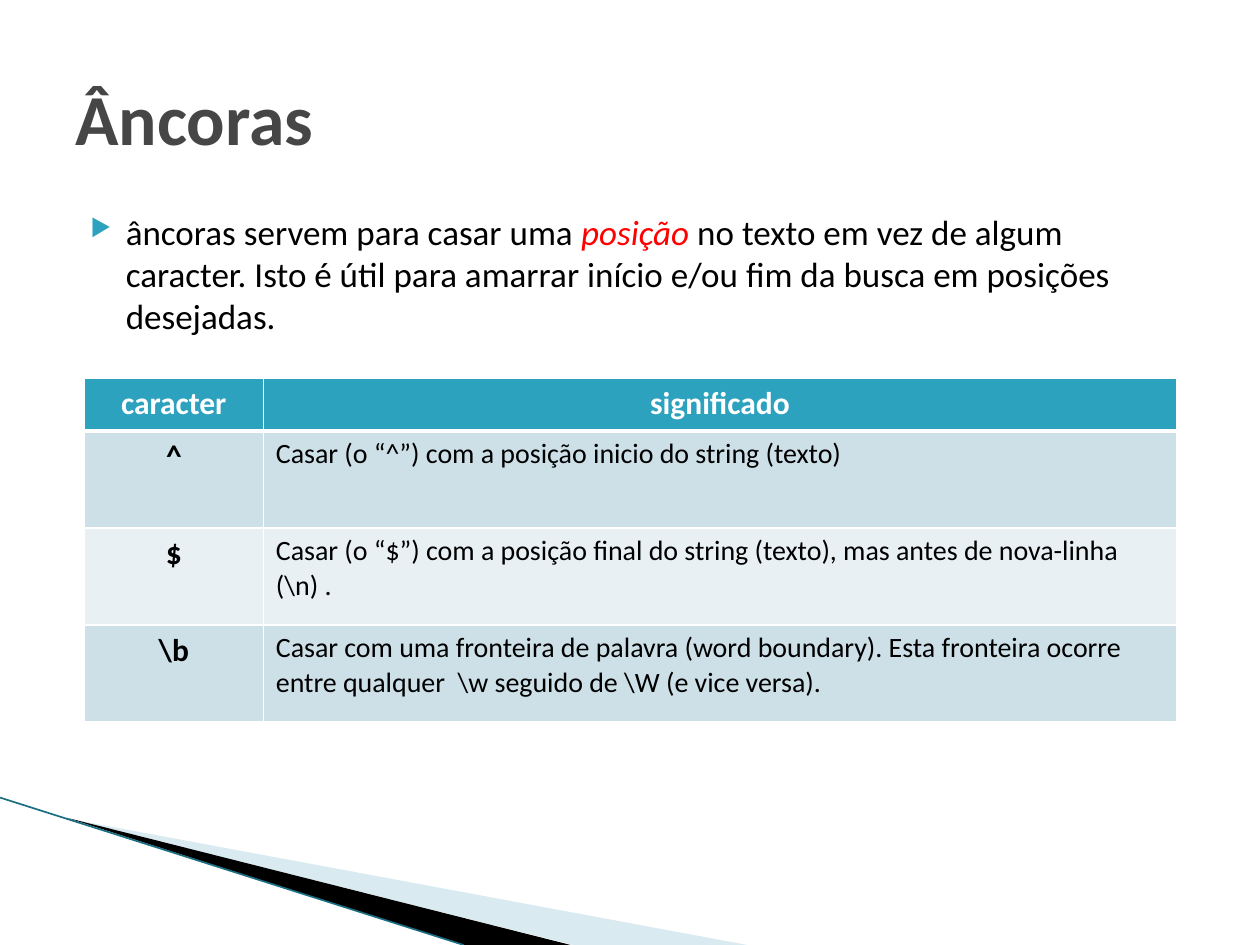
from dataclasses import dataclass

from lxml.etree import SubElement
from pptx import Presentation
from pptx.dml.color import RGBColor
from pptx.enum.text import MSO_ANCHOR, PP_ALIGN
from pptx.oxml import parse_xml
from pptx.oxml.ns import nsdecls, qn
from pptx.util import Inches, Pt


@dataclass(frozen=True)
class Theme:
    """Colours, font and type sizes of the slide."""
    font: str = "Calibri"
    title: str = "464646"
    text: str = "000000"
    accent: str = "2DA2BF"
    highlight: str = "FF0000"
    white: str = "FFFFFF"
    bands: tuple = ("CDE0E8", "E8F0F4")
    pale_wedge: str = "A0CBDC"
    edge: str = "1A6E82"
    title_size: float = 41
    body_size: float = 20
    label_size: float = 18
    cell_size: float = 16


THEME = Theme()

ANCHORS = [
    ("^", "Casar (o “^”) com a posição inicio do string (texto)"),
    ("$", "Casar (o “$”) com a posição final do string (texto), "
          "mas antes de nova-linha (\\n) ."),
    ("\\b", "Casar com uma fronteira de palavra (word boundary). Esta fronteira "
            "ocorre entre qualquer  \\w seguido de \\W (e vice versa)."),
]


def add_run(paragraph, text, size, color, bold=False, italic=False):
    """Append one styled run to a paragraph."""
    run = paragraph.add_run()
    run.text = text
    font = run.font
    font.name, font.size, font.bold, font.italic = THEME.font, Pt(size), bold, italic
    font.color.rgb = RGBColor.from_string(color)


def add_frame(slide, left, top, width, height):
    """Add a wrapping text box and return its text frame."""
    frame = slide.shapes.add_textbox(
        Inches(left), Inches(top), Inches(width), Inches(height)).text_frame
    frame.word_wrap = True
    return frame


def add_wedge(slide, left, top, points, color, opacity=100):
    """Draw a filled outline whose points are relative to left and top."""
    corners = [(Inches(left + x), Inches(top + y)) for x, y in points]
    builder = slide.shapes.build_freeform(*corners[0], scale=1.0)
    builder.add_line_segments(corners[1:], close=True)
    wedge = builder.convert_to_shape()
    wedge.shadow.inherit = False
    wedge.line.fill.background()
    wedge.fill.solid()
    wedge.fill.fore_color.rgb = RGBColor.from_string(color)
    if opacity < 100:
        rgb = wedge.fill._xPr.find(".//" + qn("a:srgbClr"))
        SubElement(rgb, qn("a:alpha")).set("val", str(opacity * 1000))


def add_corner_decor(slide, left, top):
    """Draw the wedges and the edge line of the lower left corner."""
    add_wedge(slide, left + 0.55, top + 0.17,
              [(0, 0), (5.38, 1), (4, 1)], THEME.pale_wedge, 40)
    add_wedge(slide, left + 0.53, top + 0.16,
              [(0, 0), (4, 1.01), (3.15, 1.01)], THEME.text)
    edge = slide.shapes.add_connector(
        1, Inches(left), Inches(top), Inches(left + 3.68), Inches(top + 1.17))
    edge.line.color.rgb = RGBColor.from_string(THEME.edge)
    edge.line.width = Pt(0.95)
    SubElement(edge._element.spPr, qn("a:effectLst"))


def add_title(slide, left, top, width, height):
    """Place the slide title, centred vertically in its box."""
    frame = add_frame(slide, left, top, width, height)
    frame.vertical_anchor = MSO_ANCHOR.MIDDLE
    add_run(frame.paragraphs[0], "Âncoras", THEME.title_size, THEME.title, bold=True)


def add_introduction(slide, left, top, width, height):
    """Place the bulleted explanation."""
    paragraph = add_frame(slide, left, top, width, height).paragraphs[0]
    paragraph.space_before = Pt(4)
    properties = paragraph._p.get_or_add_pPr()
    properties.set("marL", str(Inches(0.4)))
    properties.set("indent", str(Inches(-0.28)))
    color = SubElement(properties, qn("a:buClr"))
    SubElement(color, qn("a:srgbClr")).set("val", THEME.accent)
    SubElement(properties, qn("a:buSzPct")).set("val", "68000")
    SubElement(properties, qn("a:buChar")).set("char", "▶")
    size = THEME.body_size
    add_run(paragraph, "âncoras servem para casar uma ", size, THEME.text)
    add_run(paragraph, "posição", size, THEME.highlight, italic=True)
    add_run(paragraph, " no texto em vez de algum caracter. Isto é útil para amarrar "
            "início e/ou fim da busca em posições desejadas.", size, THEME.text)


def style_cell(cell, fill, top_width, bottom_width):
    """Fill a cell and give it white borders."""
    cell.fill.solid()
    cell.fill.fore_color.rgb = RGBColor.from_string(fill)
    borders = (("lnL", 1), ("lnR", 1), ("lnT", top_width), ("lnB", bottom_width))
    for position, (side, width) in enumerate(borders):
        cell._tc.get_or_add_tcPr().insert(position, parse_xml(
            f'<a:{side} {nsdecls("a")} w="{Pt(width)}"><a:solidFill>'
            f'<a:srgbClr val="{THEME.white}"/></a:solidFill></a:{side}>'))


def add_anchor_table(slide, left, top, width, label_width, header_height, row_height):
    """Place the table of anchors and their meanings."""
    rows = [("caracter", "significado"), *ANCHORS]
    height = header_height + row_height * len(ANCHORS)
    table = slide.shapes.add_table(
        len(rows), 2, Inches(left), Inches(top), Inches(width), Inches(height)).table
    table.columns[0].width = Inches(label_width)
    table.columns[1].width = Inches(width - label_width)
    for r, texts in enumerate(rows):
        header = r == 0
        table.rows[r].height = Inches(header_height if header else row_height)
        fill = THEME.accent if header else THEME.bands[(r - 1) % 2]
        for c, text in enumerate(texts):
            cell = table.cell(r, c)
            style_cell(cell, fill, 3 if r == 1 else 1, 3 if header else 1)
            label = header or c == 0
            paragraph = cell.text_frame.paragraphs[0]
            paragraph.alignment = PP_ALIGN.CENTER if label else PP_ALIGN.LEFT
            add_run(paragraph, text, THEME.label_size if label else THEME.cell_size,
                    THEME.white if header else THEME.text, bold=label)


def build_anchor_slide(presentation):
    """Compose the slide about anchors."""
    slide = presentation.slides.add_slide(presentation.slide_layouts[6])
    add_corner_decor(slide, 0, 6.33)
    add_introduction(slide, 0.5, 1.62, 9, 1.25)
    add_title(slide, 0.5, 0.3, 9, 1.25)
    add_anchor_table(slide, 0.67, 3, 8.67, 1.42, 0.42, 0.77)


deck = Presentation()
deck.slide_width, deck.slide_height = Inches(10), Inches(7.5)
build_anchor_slide(deck)
deck.save("out.pptx")
